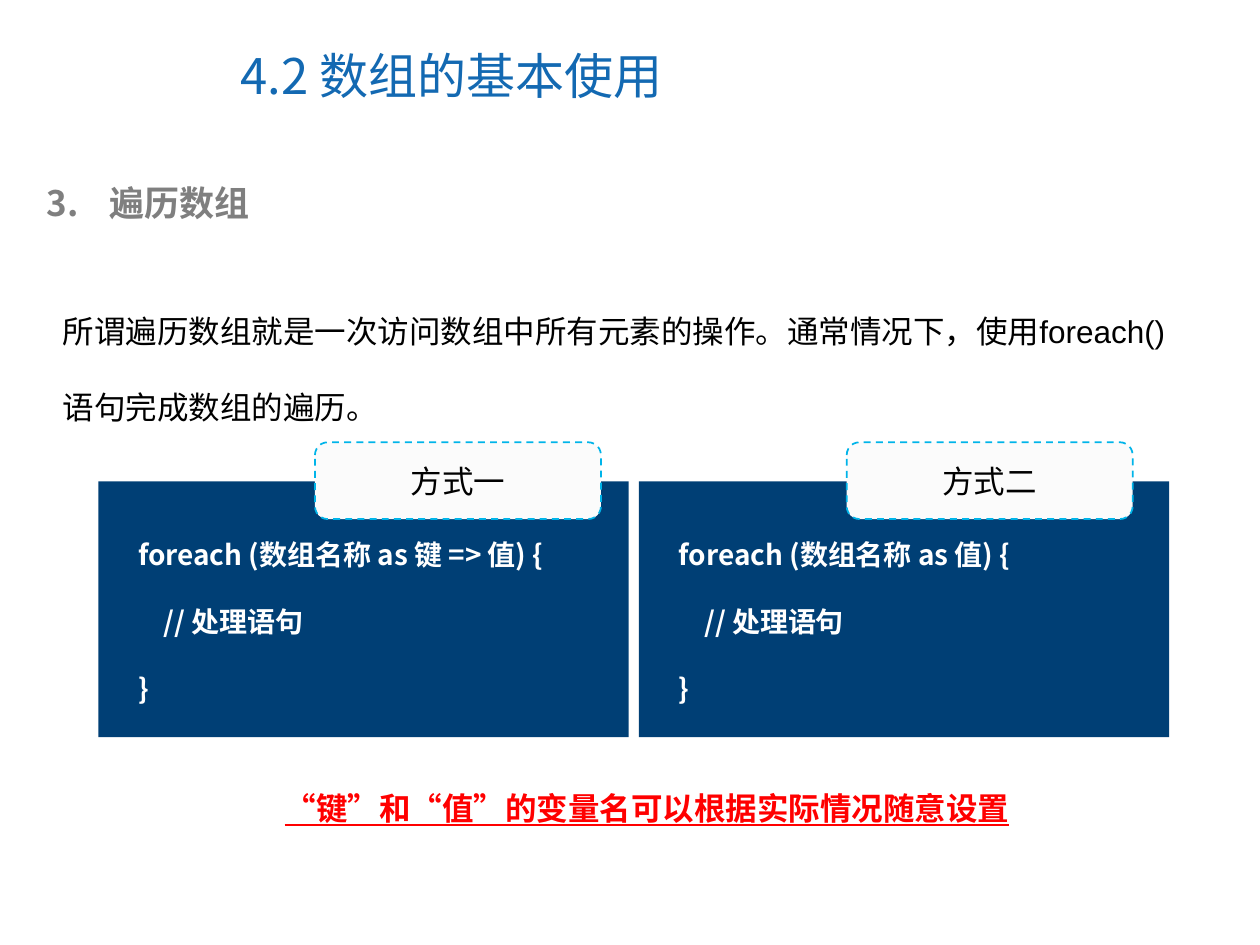
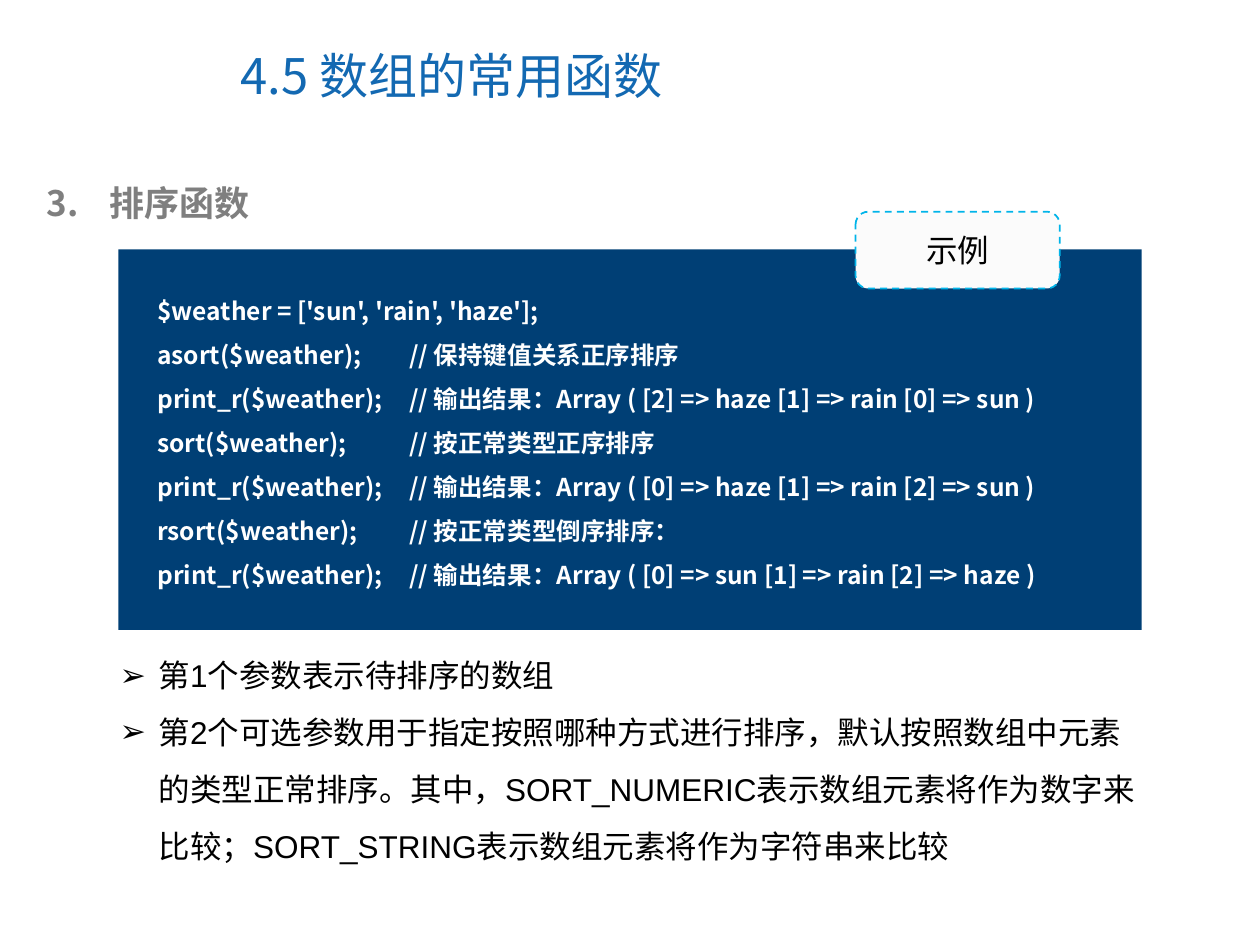
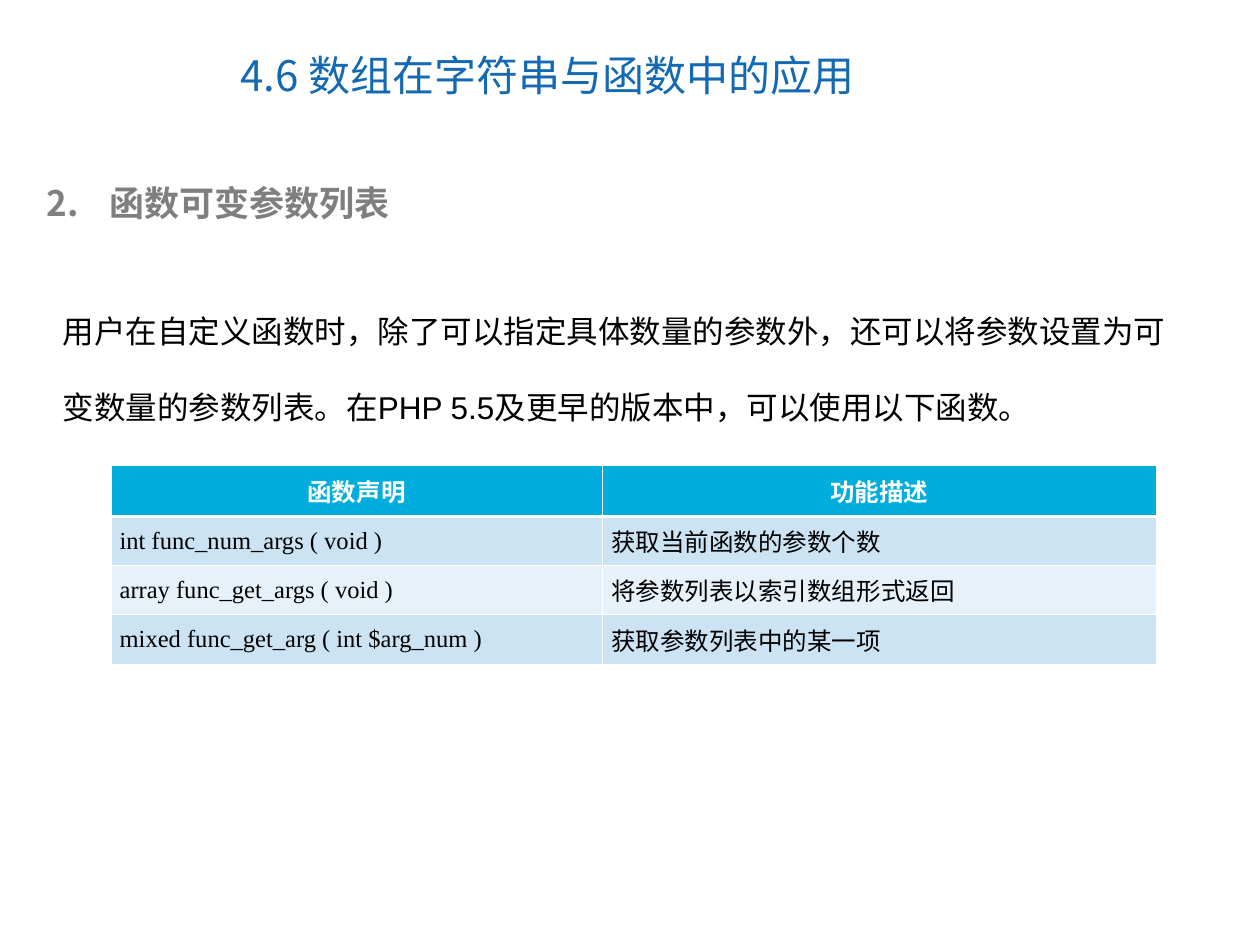
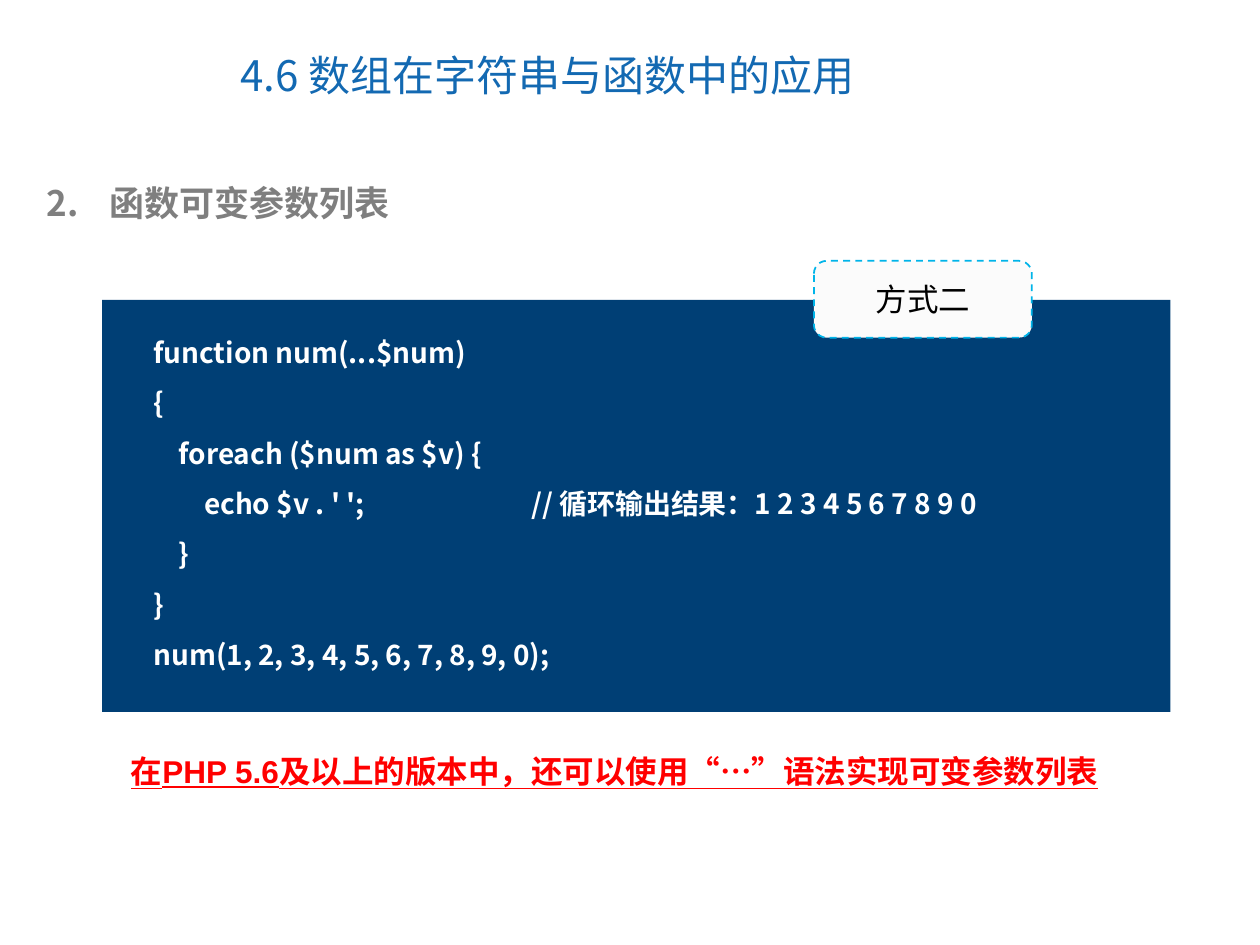
from dataclasses import dataclass

from lxml import etree
from pptx import Presentation
from pptx import util as u
from pptx.dml.color import RGBColor
from pptx.enum import dml, shapes, text
from pptx.oxml.ns import qn

PX = 9144  # EMU in one px, 100 px to the inch


@dataclass(frozen=True)
class Theme:
    # Colours
    blue: str = "1369B2"
    navy: str = "003F75"
    gray: str = "7F7F7F"
    ink: str = "000000"
    white: str = "FFFFFF"
    red: str = "FF0000"
    pale: str = "FBFBFB"
    dash: str = "00B4E9"
    head: str = "00ADDC"
    bands: tuple = ("CBE3F2", "E7F1F9")
    # Fonts
    sans: str = "Noto Sans CJK SC"
    latin: str = "Arial"
    serif: str = "Times New Roman"
    label: str = "Cabin"
    # Type sizes
    title: int = 28
    small: int = 24
    topic: int = 20
    body: int = 18
    code: int = 16
    cell: int = 14


def rgb(code):
    return RGBColor.from_string(code)


def px(*nums):
    return [n * PX for n in nums]


def add(node, tag, **attrs):
    return etree.SubElement(node, qn(tag), **attrs)


class Deck:
    def __init__(self, theme):
        self.theme = theme
        self.prs = Presentation()
        self.prs.slide_width, self.prs.slide_height = px(1000, 750)
        self.slide = None

    def typeset(self, frame, lines, size, color, font, bold=False, under=None,
                gap=None, align=text.PP_ALIGN.LEFT, mark=None):
        """Fill a text frame; mark is a bullet sign or a starting number."""
        for i, line in enumerate(lines):
            p = frame.paragraphs[0] if i == 0 else frame.add_paragraph()
            p.text = line
            p.alignment = align
            p.space_before = u.Pt(0)
            if gap:
                p.line_spacing = gap
            prop = p._p.get_or_add_pPr()
            if mark:
                dent = 50 if isinstance(mark, int) else 31
                prop.set("marL", str(dent * PX))
                prop.set("indent", str(-dent * PX))
                add(add(prop, "a:buClr"), "a:srgbClr", val=color)
                if isinstance(mark, int):
                    add(prop, "a:buAutoNum", type="arabicPeriod",
                        startAt=str(mark))
                else:
                    add(prop, "a:buFont", typeface=self.theme.latin)
                    add(prop, "a:buChar", char=mark)
            if "\t" in line:
                tabs = add(prop, "a:tabLst")
                for stop in range(100, 800, 100):
                    add(tabs, "a:tab", pos=str(stop * PX), algn="l")
            f = p.font
            f.size, f.bold, f.underline = u.Pt(size), bold, under
            f.name = font
            f.color.rgb = rgb(color)
            add(prop.find(qn("a:defRPr")), "a:ea", typeface=self.theme.sans)

    def box(self, host, place, lines, size, color, font, wrap=True, **style):
        frame = host.add_textbox(*px(*place)).text_frame
        frame.word_wrap = wrap
        frame.auto_size = text.MSO_AUTO_SIZE.SHAPE_TO_FIT_TEXT
        self.typeset(frame, lines, size, color, font, **style)

    def rect(self, host, kind, place, fill):
        shape = host.add_shape(kind, *px(*place))
        shape.shadow.inherit = False
        shape.fill.solid()
        shape.fill.fore_color.rgb = rgb(fill)
        shape.line.fill.background()
        return shape

    def hold(self, holder, place):
        """Move a placeholder and return its frame."""
        holder.left, holder.top, holder.width, holder.height = px(*place)
        frame = holder.text_frame
        frame.word_wrap = True
        frame.auto_size = text.MSO_AUTO_SIZE.NONE
        return frame

    def page(self, title, topic, num, size=None, listed=False):
        t = self.theme
        layout = self.prs.slide_layouts[1 if listed else 5]
        self.slide = self.prs.slides.add_slide(layout)
        frame = self.hold(self.slide.shapes.title, (181, 17, 516, 85))
        frame.vertical_anchor = text.MSO_ANCHOR.MIDDLE
        self.typeset(frame, [title], size or t.title, t.blue, t.sans)
        self.box(self.slide.shapes, (27, 139, 922, 44), [topic], t.topic,
                 t.gray, t.sans, bold=True, mark=num)

    def intro(self, line):
        t = self.theme
        self.box(self.slide.shapes, (40, 213, 919, 130), [line], t.body,
                 t.ink, t.latin, gap=2.0)

    def bullets(self, place, lines):
        t = self.theme
        frame = self.hold(self.slide.placeholders[1], place)
        self.typeset(frame, lines, t.body, t.ink, t.latin, gap=1.5, mark="➢")

    def panel(self, place, inner, lines, size=None, gap=1.5):
        t = self.theme
        host = self.slide.shapes.add_group_shape().shapes
        self.rect(host, shapes.MSO_SHAPE.RECTANGLE, place, t.navy)
        self.box(host, inner, lines, size or t.code, t.white, t.sans,
                 bold=True, gap=gap)

    def tag(self, left, top, width, label):
        t = self.theme
        shape = self.rect(self.slide.shapes, shapes.MSO_SHAPE.ROUNDED_RECTANGLE,
                          (left, top, width, 61), t.pale)
        shape.line.color.rgb = rgb(t.dash)
        shape.line.width = u.Pt(1)
        shape.line.dash_style = dml.MSO_LINE.DASH
        frame = shape.text_frame
        frame.vertical_anchor = text.MSO_ANCHOR.MIDDLE
        self.typeset(frame, [label], t.body, t.ink, t.latin,
                     align=text.PP_ALIGN.CENTER)

    def note(self, place, line, wrap=True):
        t = self.theme
        self.box(self.slide.shapes, place, [line], t.body, t.red, t.latin,
                 wrap=wrap, bold=True, under=True)

    def edge(self, cell, top, base):
        """Draw the four white borders of a cell, widths in points."""
        prop = cell._tc.get_or_add_tcPr()
        sides = {"a:lnL": 0.45, "a:lnR": 0.45, "a:lnT": top, "a:lnB": base}
        for i, (tag, width) in enumerate(sides.items()):
            line = etree.Element(qn(tag), w=str(u.Pt(width)))
            add(add(line, "a:solidFill"), "a:srgbClr", val=self.theme.white)
            prop.insert(i, line)

    def table(self, place, cols, tall, rows):
        t = self.theme
        grid = self.slide.shapes.add_table(len(rows), len(cols),
                                           *px(*place)).table
        for col, width in zip(grid.columns, cols):
            col.width = width * PX
        for r, row in enumerate(rows):
            head = r == 0
            grid.rows[r].height = tall[r] * PX
            for c, word in enumerate(row):
                cell = grid.cell(r, c)
                cell.vertical_anchor = text.MSO_ANCHOR.MIDDLE
                cell.margin_left = cell.margin_right = (8 if head else 7) * PX
                cell.fill.solid()
                cell.fill.fore_color.rgb = rgb(
                    t.head if head else t.bands[(r - 1) % 2])
                self.edge(cell, 1.47 if r == 1 else 0.45,
                          1.47 if head else 0.45)
                if head:
                    self.typeset(cell.text_frame, [word], t.cell, t.white,
                                 (t.label, t.sans)[c], bold=True,
                                 align=text.PP_ALIGN.CENTER)
                else:
                    self.typeset(cell.text_frame, [word], t.cell, t.ink,
                                 t.serif)


def main():
    theme = Theme()
    deck = Deck(theme)

    # Walking an array: two ways side by side
    deck.page("4.2 数组的基本使用", "遍历数组", 3)
    deck.intro("所谓遍历数组就是一次访问数组中所有元素的操作。"
               "通常情况下，使用foreach()语句完成数组的遍历。")
    ways = [(78, 250, "方式一", "键 => 值"), (507, 672, "方式二", "值")]
    for left, spot, label, names in ways:
        deck.panel((left, 382, 421, 203), (left + 22, 395, 394, 170),
                   [f"foreach (数组名称 as {names}) {{", "    // 处理语句", "}"],
                   gap=2.0)
        deck.tag(spot, 351, 227, label)
    deck.note((216, 621, 595, 40),
              "“键”和“值”的变量名可以根据实际情况随意设置", wrap=False)

    # Sorting functions
    deck.page("4.5 数组的常用函数", "排序函数", 3, listed=True)
    code = ["$weather = ['sun', 'rain', 'haze'];"]
    sorts = [("asort", "保持键值关系正序排序", "[2] => haze [1] => rain [0] => sun"),
             ("sort", "按正常类型正序排序", "[0] => haze [1] => rain [2] => sun"),
             ("rsort", "按正常类型倒序排序：", "[0] => sun [1] => rain [2] => haze")]
    for func, hint, out in sorts:
        code += [f"{func}($weather);\t// {hint}",
                 f"print_r($weather);\t// 输出结果：Array ( {out} )"]
    deck.panel((94, 198, 812, 302), (115, 218, 792, 255), code, theme.cell)
    deck.tag(679, 168, 162, "示例")
    deck.bullets((85, 501, 836, 190), [
        "第1个参数表示待排序的数组",
        "第2个可选参数用于指定按照哪种方式进行排序，默认按照数组中元素的类型正常排序。"
        "其中，SORT_NUMERIC表示数组元素将作为数字来比较；"
        "SORT_STRING表示数组元素将作为字符串来比较"])

    # Variable arguments: functions
    strings = ("4.6 数组在字符串与函数中的应用", "函数可变参数列表", 2, theme.small)
    deck.page(*strings)
    deck.intro("用户在自定义函数时，除了可以指定具体数量的参数外，"
               "还可以将参数设置为可变数量的参数列表。"
               "在PHP 5.5及更早的版本中，可以使用以下函数。")
    deck.table((88, 369, 830, 159), (390, 440), (41, 39, 39, 39), [
        ("函数声明", "功能描述"),
        ("int func_num_args ( void )", "获取当前函数的参数个数"),
        ("array func_get_args ( void )", "将参数列表以索引数组形式返回"),
        ("mixed func_get_arg ( int $arg_num )", "获取参数列表中的某一项")])

    # Variable arguments: spread syntax
    deck.page(*strings)
    deck.panel((81, 238, 848, 327), (112, 248, 817, 290), [
        "function num(...$num)",
        "{",
        "    foreach ($num as $v) {",
        "        echo $v . ' ';\t\t// 循环输出结果：1 2 3 4 5 6 7 8 9 0",
        "    }",
        "}",
        "num(1, 2, 3, 4, 5, 6, 7, 8, 9, 0);"])
    deck.tag(646, 207, 173, "方式二")
    deck.note((94, 592, 813, 40),
              "在PHP 5.6及以上的版本中，还可以使用“…”语法实现可变参数列表")

    deck.prs.save("out.pptx")


if __name__ == "__main__":
    main()
